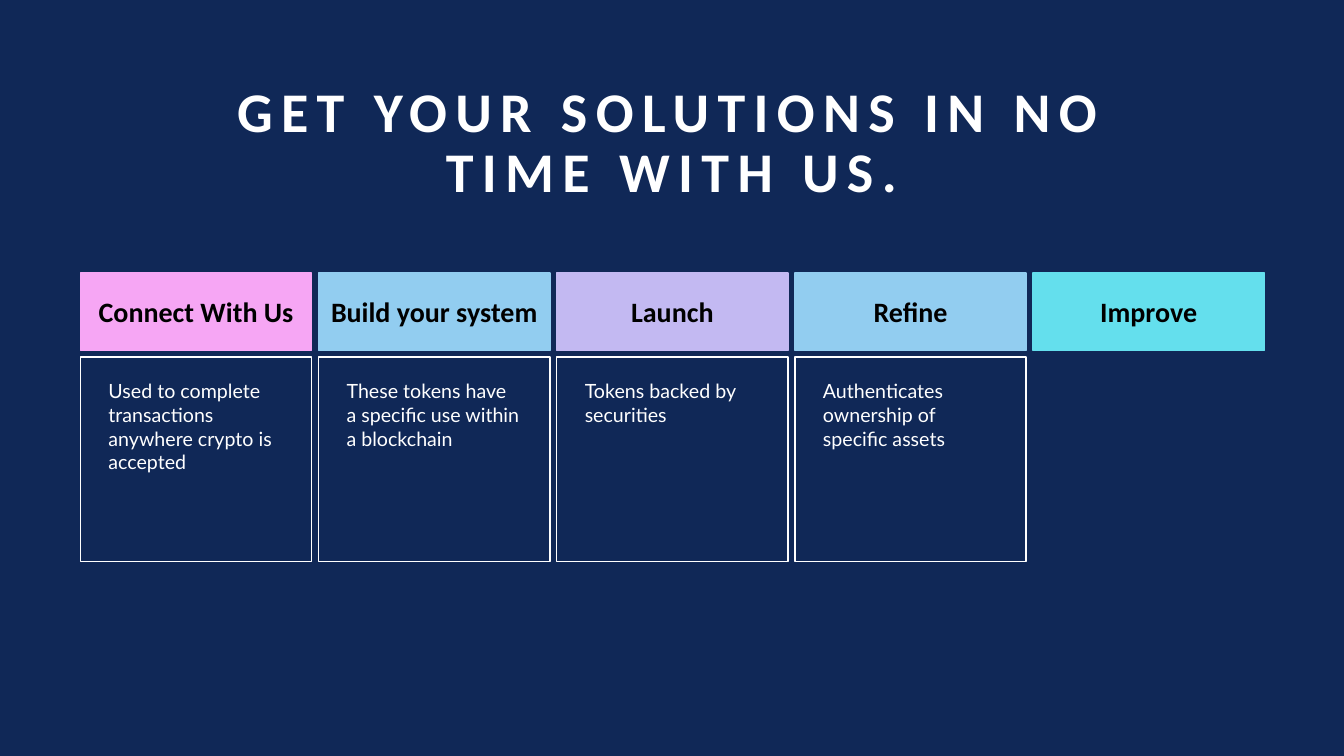
"""Build a slide with five process steps under a title."""
import pptx
import pptx.util
import pptx.dml.color
import pptx.enum.shapes
import pptx.enum.text

Pt = pptx.util.Pt
ALIGN = pptx.enum.text.PP_ALIGN
ANCHOR = pptx.enum.text.MSO_ANCHOR
COLORS = {
    "navy": "102857", "white": "FFFFFF", "black": "000000", "pink": "F6A6F4",
    "blue": "92CDF0", "lilac": "C3B9F2", "aqua": "64DFED",
}
STEPS = [
    ("Connect With Us", "pink", "Used to complete transactions anywhere crypto is accepted"),
    ("Build your system", "blue", "These tokens have a specific use within a blockchain"),
    ("Launch", "lilac", "Tokens backed by securities"),
    ("Refine", "blue", "Authenticates ownership of specific assets"),
    ("Improve", "aqua", None),
]
LEFT, PITCH, WIDTH = 57.5, 170.1, 165.2
HEAD_TOP, HEAD_HEIGHT = 195, 55.4
BODY_TOP, BODY_HEIGHT = 255, 146


def rgb(name):
    return pptx.dml.color.RGBColor.from_string(COLORS[name])


def add_box(left, top, height, text, fill, line, font, size, color):
    sp = s.shapes.add_shape(pptx.enum.shapes.MSO_SHAPE.RECTANGLE,
                            Pt(left), Pt(top), Pt(WIDTH), Pt(height))
    sp.shadow.inherit = False
    if fill:
        sp.fill.solid()
        sp.fill.fore_color.rgb = rgb(fill)
    else:
        sp.fill.background()
    sp.line.color.rgb = rgb(line)
    sp.line.width = Pt(1)
    tf = sp.text_frame
    tf.word_wrap = True
    tf.text = text
    f = tf.paragraphs[0].runs[0].font
    f.name, f.size, f.color.rgb = font, Pt(size), rgb(color)
    return tf


prs = pptx.Presentation()
prs.slide_width, prs.slide_height = Pt(960), Pt(540)
s = prs.slides.add_slide(prs.slide_layouts[5])
s.background.fill.solid()
s.background.fill.fore_color.rgb = rgb("navy")

title = s.shapes.title
title.left, title.top, title.width, title.height = Pt(130.3), Pt(65.5), Pt(699), Pt(84.3)
tf = title.text_frame
tf.text = "GET YOUR SOLUTIONS IN NO TIME WITH US."
tf.word_wrap = True
tf.auto_size = pptx.enum.text.MSO_AUTO_SIZE.NONE
tf.vertical_anchor = ANCHOR.BOTTOM
p = tf.paragraphs[0]
p.alignment = ALIGN.CENTER
p.line_spacing = 0.9
r = p.runs[0]
r.font.name, r.font.size, r.font.bold = "Calibri", Pt(40), True
r.font.color.rgb = rgb("white")
r.font._element.set("spc", "600")

for i, (name, color, detail) in enumerate(STEPS):
    left = LEFT + i * PITCH
    tf = add_box(left, HEAD_TOP, HEAD_HEIGHT, name, color, color, "Calibri", 20, "black")
    tf.vertical_anchor = ANCHOR.MIDDLE
    tf.paragraphs[0].alignment = ALIGN.CENTER
    tf.paragraphs[0].runs[0].font.bold = True
    if detail:
        tf = add_box(left, BODY_TOP, BODY_HEIGHT, detail, None, "white", "Lato", 14, "white")
        tf.vertical_anchor = ANCHOR.TOP
        tf.paragraphs[0].alignment = ALIGN.LEFT
        tf.margin_left, tf.margin_top = Pt(20), Pt(16)
        tf.margin_right, tf.margin_bottom = Pt(21.6), Pt(3.6)

prs.save("out.pptx")
